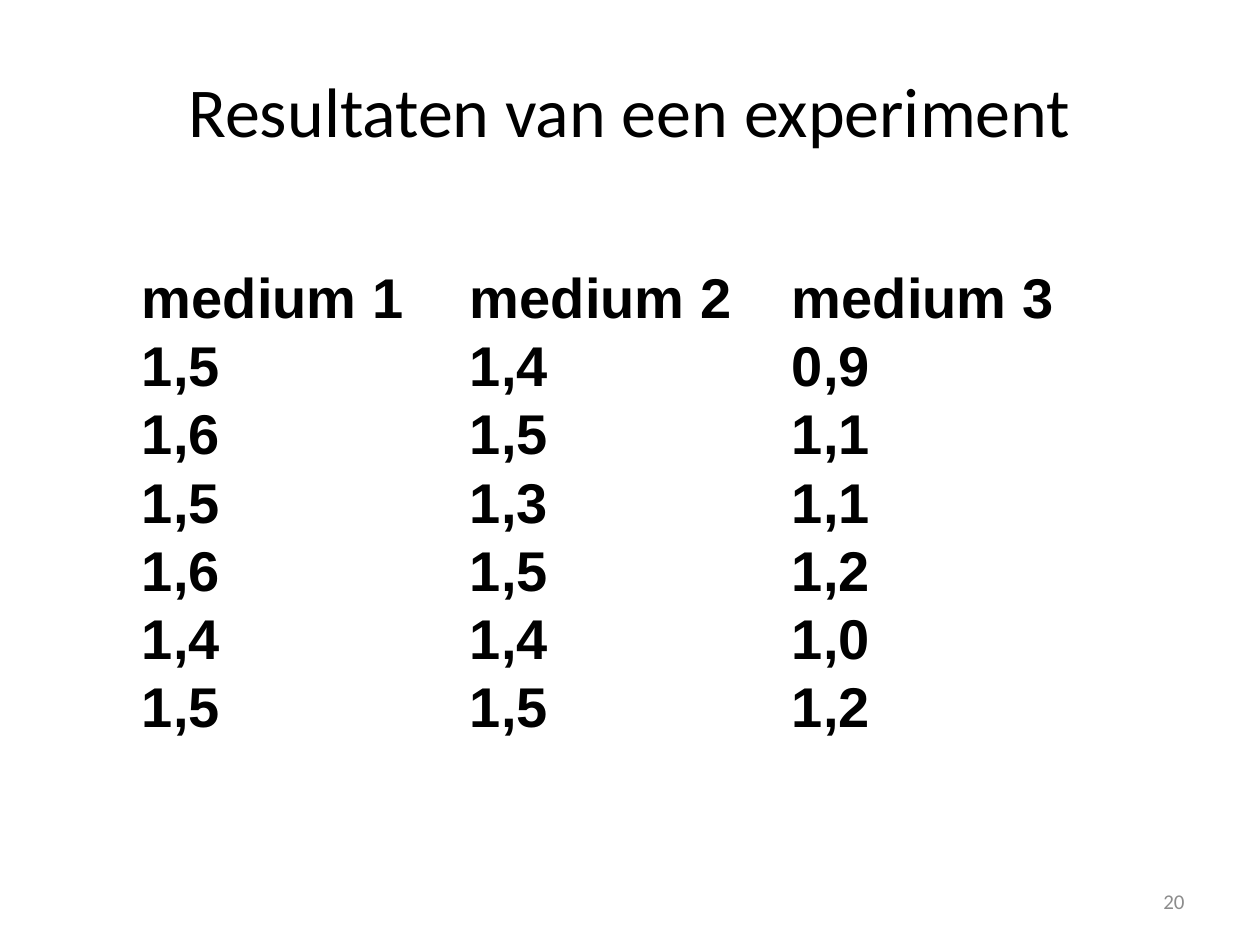
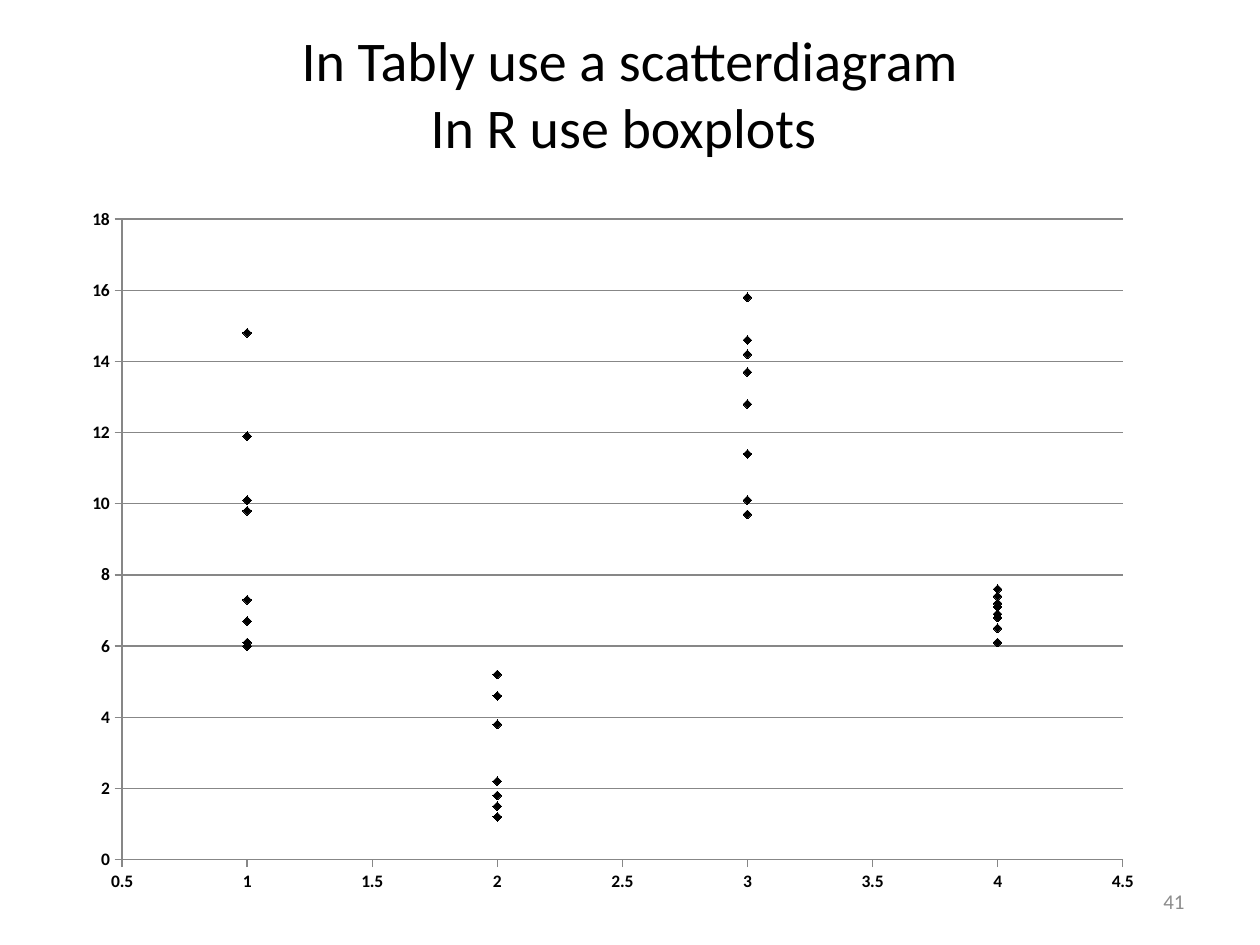
from lxml import etree
from pptx import Presentation
from pptx import util as u
from pptx.chart import data
from pptx.dml.color import RGBColor
from pptx.enum import chart as charts
from pptx.enum import text

PX = 914400 / 126
COLORS = {"ink": "000000", "muted": "8C8C8C", "grid": "878787"}
CHART_NS = "http://schemas.openxmlformats.org/drawingml/2006/chart"


def px(length):
    return u.Emu(round(length * PX))


def color(name):
    return RGBColor.from_string(COLORS[name])


def assign(target, values):
    for name, value in values.items():
        setattr(target, name, value)


class Deck:
    head_font, cell_font = "Calibri", "Arial"

    def __init__(self):
        self.deck = Presentation()
        assign(self.deck, {"slide_width": px(1260), "slide_height": px(945)})
        self.page = None

    def place(self, shape, left, top, width, height):
        assign(shape, {"left": px(left), "top": px(top),
                       "width": px(width), "height": px(height)})

    def style(self, font, name, size, ink="ink", bold=False):
        assign(font, {"name": name, "size": u.Pt(size), "bold": bold})
        font.color.rgb = color(ink)

    def set_text(self, frame, words, align, font, size, ink="ink", bold=False):
        para = frame.paragraphs[0]
        para.text = words
        para.alignment = align
        self.style(para.font, font, size, ink, bold)
        for span in para.runs:
            self.style(span.font, font, size, ink, bold)

    def add_page(self, title, place, size, number):
        self.page = self.deck.slides.add_slide(self.deck.slide_layouts[5])
        box = self.page.shapes.title
        self.place(box, *place)
        self.set_text(box.text_frame, title, text.PP_ALIGN.CENTER, self.head_font, size)
        assign(box.text_frame, {"vertical_anchor": text.MSO_ANCHOR.MIDDLE,
                                "auto_size": text.MSO_AUTO_SIZE.NONE})
        self.add_number(number)

    def add_number(self, number):
        box = self.page.shapes.add_textbox(px(903), px(876), px(294), px(50))
        assign(box.text_frame, {"word_wrap": True,
                                "vertical_anchor": text.MSO_ANCHOR.MIDDLE})
        self.set_text(box.text_frame, str(number), text.PP_ALIGN.RIGHT,
                      self.head_font, 12, "muted")

    def add_table(self, rows, left, top, widths, row_height):
        table = self.page.shapes.add_table(
            len(rows), len(widths), px(left), px(top),
            px(sum(widths)), px(row_height * len(rows))).table
        assign(table, {"first_row": False, "horz_banding": False})
        for column, width in zip(table.columns, widths):
            column.width = px(width)
        for cell in table.iter_cells():
            cell.fill.background()
        for r, values in enumerate(rows):
            table.rows[r].height = px(row_height)
            for c, value in enumerate(values):
                cell = table.cell(r, c)
                assign(cell, {"margin_left": px(1), "margin_right": px(1),
                              "margin_top": px(1), "margin_bottom": 0,
                              "vertical_anchor": text.MSO_ANCHOR.BOTTOM})
                self.set_text(cell.text_frame, value, text.PP_ALIGN.LEFT,
                              self.cell_font, 32, bold=True)
        table.cell(0, 2).merge(table.cell(0, 3))

    def add_scatter(self, groups, place, plot_area):
        points = data.XyChartData()
        series = points.add_series("Series 1")
        for x, values in groups.items():
            for value in values:
                series.add_data_point(x, value)
        chart = self.page.shapes.add_chart(
            charts.XL_CHART_TYPE.XY_SCATTER, *map(px, place), points).chart
        assign(chart, {"has_legend": False, "has_title": False})
        self.style(chart.font, self.head_font, 10, bold=True)
        chart.plots[0].vary_by_categories = False
        self.style_series(chart.plots[0].series[0])
        self.style_axis(chart.category_axis, 0.5, 4.5, 0.5, False)
        self.style_axis(chart.value_axis, 0, 18, 2, True)
        self.set_plot_area(chart, plot_area)

    def style_series(self, series):
        series.smooth = False
        series.format.line.fill.background()
        assign(series.marker, {"style": charts.XL_MARKER_STYLE.DIAMOND, "size": 5})
        series.marker.format.fill.solid()
        series.marker.format.fill.fore_color.rgb = color("ink")
        series.marker.format.line.color.rgb = color("ink")

    def style_axis(self, axis, low, high, step, grid):
        assign(axis, {"minimum_scale": low, "maximum_scale": high, "major_unit": step,
                      "has_major_gridlines": grid,
                      "major_tick_mark": charts.XL_TICK_MARK.OUTSIDE,
                      "minor_tick_mark": charts.XL_TICK_MARK.NONE})
        assign(axis.tick_labels, {"number_format": "General",
                                  "number_format_is_linked": False})
        lines = [axis.format.line]
        if grid:
            lines.append(axis.major_gridlines.format.line)
        for line in lines:
            line.width = u.Pt(0.75)
            line.color.rgb = color("grid")

    def set_plot_area(self, chart, fractions):
        tag = f"{{{CHART_NS}}}"
        area = chart.element.find(f".//{tag}plotArea") if hasattr(chart, "element") \
            else chart.plots[0]._element.getparent()
        for old in area.findall(f"{tag}layout"):
            area.remove(old)
        layout = etree.Element(f"{tag}layout")
        area.insert(0, layout)
        manual = etree.SubElement(layout, f"{tag}manualLayout")
        settings = {"layoutTarget": "inner", "xMode": "edge", "yMode": "edge"}
        settings.update(zip("xywh", fractions))
        for name, value in settings.items():
            etree.SubElement(manual, f"{tag}{name}").set("val", str(value))


def main():
    show = Deck()

    show.add_page("Resultaten van een experiment", (94, 30, 1071, 158), 40, 20)
    show.add_table([
        ("medium 1", "medium 2", "medium 3"),
        ("1,5", "1,4", "0,9"),
        ("1,6", "1,5", "1,1"),
        ("1,5", "1,3", "1,1"),
        ("1,6", "1,5", "1,2"),
        ("1,4", "1,4", "1,0"),
        ("1,5", "1,5", "1,2"),
    ], 141, 262, (328, 322, 169, 260), 66)

    show.add_page("In Tably use a scatterdiagram\vIn R use boxplots ",
                  (63, 0, 1134, 185), 32, 41)
    show.add_scatter({
        1: (6, 6.1, 6.7, 7.3, 9.8, 10.1, 14.8, 11.9),
        2: (1.2, 1.5, 1.8, 1.8, 2.2, 3.8, 4.6, 5.2),
        3: (10.1, 9.7, 11.4, 12.8, 14.2, 14.6, 15.8, 13.7),
        4: (7.1, 6.8, 6.5, 6.9, 7.6, 7.2, 7.4, 6.1),
    }, (79, 198, 1076, 704), (0.04, 0.03, 0.93, 0.91))

    show.deck.save("out.pptx")


if __name__ == "__main__":
    main()
